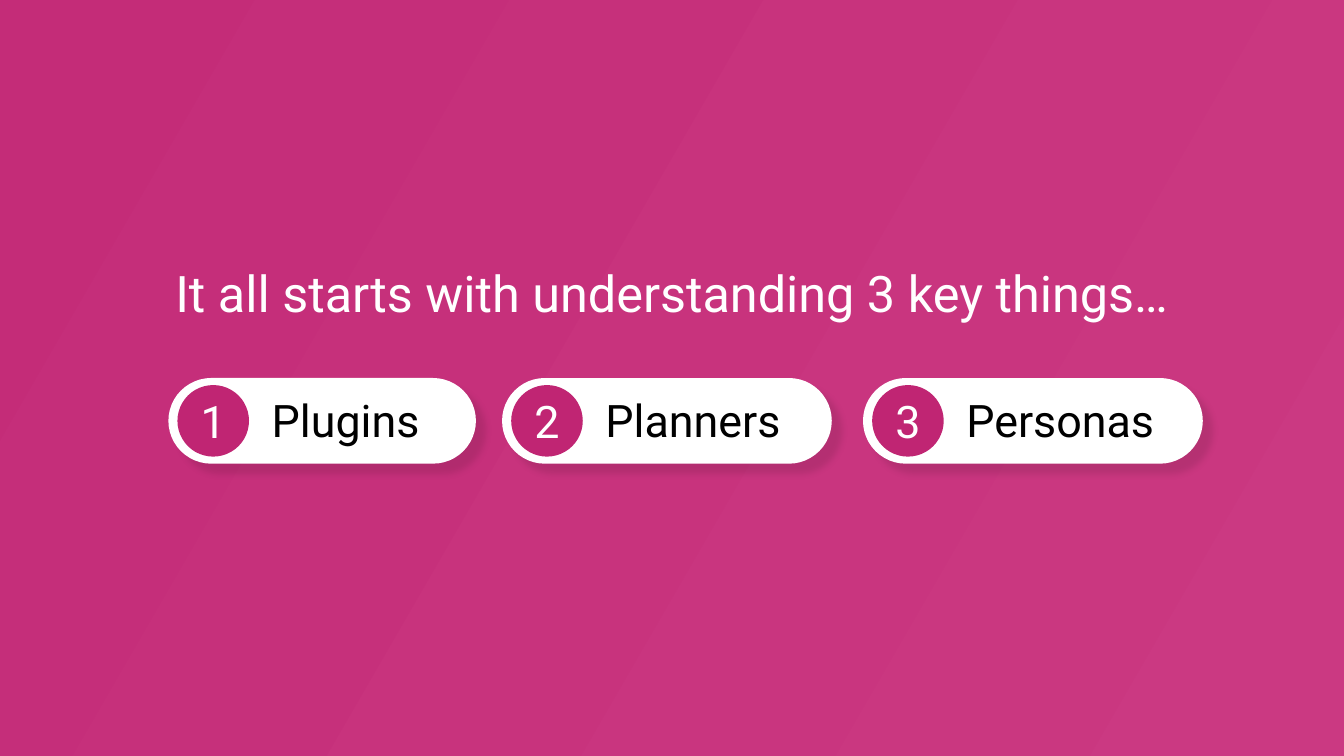
from lxml import etree
from pptx import Presentation
from pptx.dml.color import RGBColor
from pptx.enum.shapes import MSO_SHAPE
from pptx.enum.text import MSO_ANCHOR, PP_ALIGN
from pptx.oxml import parse_xml
from pptx.oxml.ns import nsdecls
from pptx.util import Inches, Pt

RECTANGLE, PILL, CIRCLE = MSO_SHAPE.RECTANGLE, MSO_SHAPE.ROUNDED_RECTANGLE, MSO_SHAPE.OVAL
LEFT, CENTER = PP_ALIGN.LEFT, PP_ALIGN.CENTER
TOP, MIDDLE = MSO_ANCHOR.TOP, MSO_ANCHOR.MIDDLE

WHITE = RGBColor(0xFF, 0xFF, 0xFF)
BLACK = RGBColor(0, 0, 0)
MAGENTA = RGBColor(0xC0, 0x25, 0x73)
GRADIENT = (RGBColor(0xCB, 0x39, 0x82), RGBColor(0xC4, 0x2C, 0x78))
BACKDROP = RGBColor(0x25, 0x1D, 0x21)

SLIDE_WIDTH, SLIDE_HEIGHT = 13.33, 7.5
FONT = "Roboto"
PILL_TOP, PILL_HEIGHT = 3.75, 0.85
BADGE_SIZE, BADGE_LEFT = 0.71, 0.09
KEY_THINGS = [("Plugins", 1.67, 3.05), ("Planners", 4.98, 3.27), ("Personas", 8.56, 3.37)]


def write_text(shape, text, size, color, alignment, anchor=MIDDLE, insets=(0, 0, 0, 0)):
    """Write one line; insets run left, top, right, bottom in inches."""
    frame = shape.text_frame
    frame.word_wrap = True
    frame.vertical_anchor = anchor
    for side, inset in zip(("left", "top", "right", "bottom"), insets):
        setattr(frame, f"margin_{side}", Inches(inset))
    paragraph = frame.paragraphs[0]
    paragraph.alignment = alignment
    run = paragraph.add_run()
    run.text = text
    for name, value in {"name": FONT, "size": Pt(size)}.items():
        setattr(run.font, name, value)
    run.font.color.rgb = color


def add_plain_shape(shapes, preset, box, color=None):
    shape = shapes.add_shape(preset, *map(Inches, box))
    shape.shadow.inherit = False
    shape.line.fill.background()
    if color is not None:
        shape.fill.solid()
        shape.fill.fore_color.rgb = color
    return shape


def cast_shadow(shape):
    """Give the shape a soft shadow to the lower right."""
    effects = shape._element.spPr.find("{*}effectLst")
    shadow = parse_xml(
        f'<a:outerShdw {nsdecls("a")} blurRad="{Pt(5)}" dist="{Pt(10)}" dir="2700000" '
        'algn="tl" rotWithShape="0"/>')
    color = etree.SubElement(shadow, "{%s}srgbClr" % shadow.nsmap["a"], val=str(BLACK))
    etree.SubElement(color, "{%s}alpha" % shadow.nsmap["a"], val="10000")
    effects.append(shadow)


def add_background(slide, box):
    slide.background.fill.solid()
    slide.background.fill.fore_color.rgb = BACKDROP
    panel = add_plain_shape(slide.shapes, RECTANGLE, box)
    panel.fill.gradient()
    panel.fill.gradient_angle = 150
    for stop, color in zip(panel.fill.gradient_stops, GRADIENT):
        stop.color.rgb = color


def add_headline(slide, box):
    headline = slide.shapes.add_textbox(*map(Inches, box))
    write_text(headline, "It all starts with understanding 3 key things…", 36, WHITE,
               CENTER, TOP, (0.1, 0.05, 0.1, 0.05))


def add_key_thing(slide, number, label, box):
    """Group a labelled pill with its numbered badge."""
    left, top, _, height = box
    group = slide.shapes.add_group_shape()
    pill = add_plain_shape(group.shapes, PILL, box, WHITE)
    pill.adjustments[0] = 0.5
    cast_shadow(pill)
    write_text(pill, label, 32, BLACK, LEFT, insets=(0.9, 0.02, 0, 0.05))
    badge_box = (left + BADGE_LEFT, top + (height - BADGE_SIZE) / 2, BADGE_SIZE, BADGE_SIZE)
    badge = add_plain_shape(group.shapes, CIRCLE, badge_box, MAGENTA)
    write_text(badge, str(number), 32, WHITE, CENTER)


def main():
    presentation = Presentation()
    presentation.slide_width = Inches(SLIDE_WIDTH)
    presentation.slide_height = Inches(SLIDE_HEIGHT)
    slide = presentation.slides.add_slide(presentation.slide_layouts[6])
    add_background(slide, (0, 0, SLIDE_WIDTH, SLIDE_HEIGHT))
    add_headline(slide, (0.72, 2.55, 11.89, 0.71))
    for number, (label, left, width) in enumerate(KEY_THINGS, 1):
        add_key_thing(slide, number, label, (left, PILL_TOP, width, PILL_HEIGHT))
    presentation.save("out.pptx")


if __name__ == "__main__":
    main()
